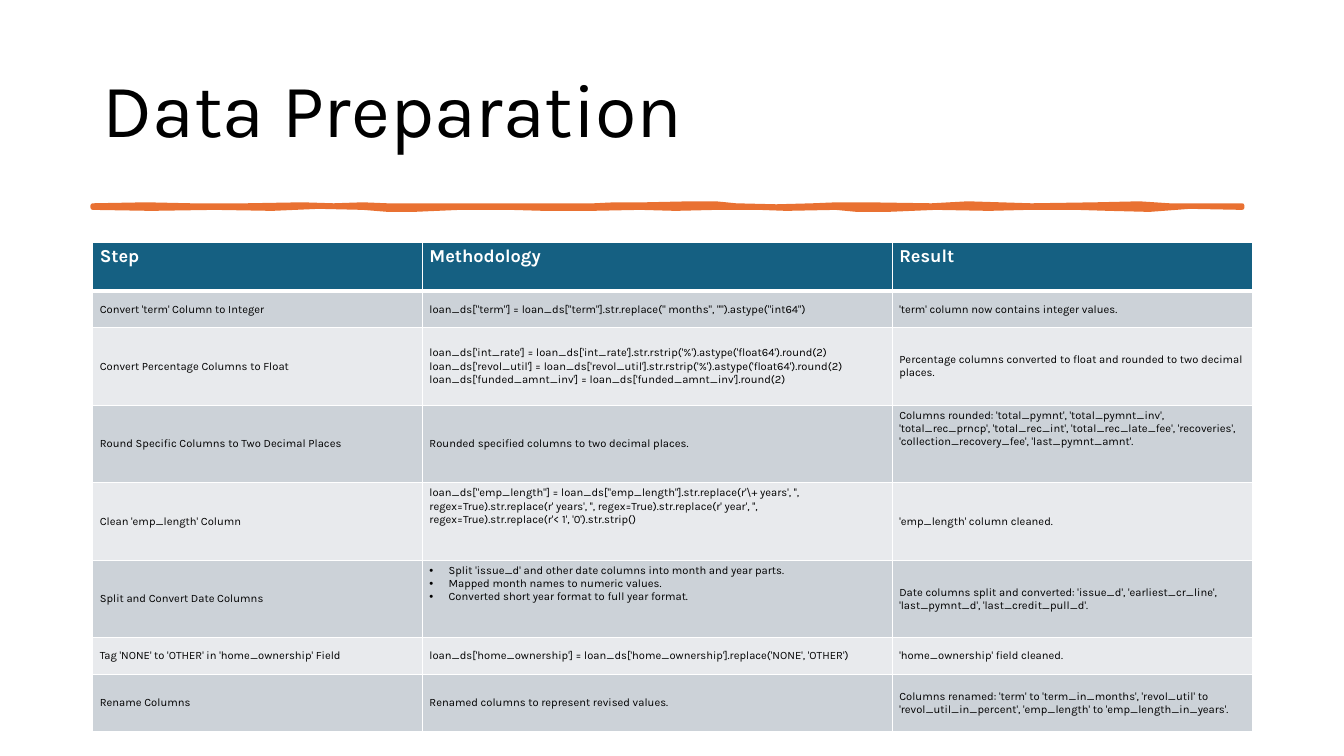
from lxml import etree
from pptx import Presentation
from pptx.dml.color import RGBColor
from pptx.enum.text import MSO_ANCHOR
from pptx.oxml.ns import qn
from pptx.util import Inches, Pt

TOP = MSO_ANCHOR.TOP
MIDDLE = MSO_ANCHOR.MIDDLE
BLACK = RGBColor(0x00, 0x00, 0x00)
WHITE = RGBColor(0xFF, 0xFF, 0xFF)
ORANGE = RGBColor(0xE9, 0x71, 0x32)
HEADER_BLUE = RGBColor(0x15, 0x60, 0x82)
BAND_DARK = RGBColor(0xCC, 0xD2, 0xD8)
BAND_LIGHT = RGBColor(0xE8, 0xEA, 0xED)

COLUMN_WIDTHS = [3.27, 4.66, 3.57]
ROW_HEIGHTS = [0.49, 0.36, 0.77, 0.77, 0.77, 0.77, 0.36, 0.57]
HEADINGS = ["Step", "Methodology", "Result"]
STEPS = [
    ["Convert 'term' Column to Integer",
     'loan_ds["term"] = loan_ds["term"].str.replace(" months", "").astype("int64")',
     "'term' column now contains integer values."],
    ["Convert Percentage Columns to Float",
     "loan_ds['int_rate'] = loan_ds['int_rate'].str.rstrip('%').astype('float64').round(2)\n"
     "loan_ds['revol_util'] = loan_ds['revol_util'].str.rstrip('%').astype('float64').round(2)\n"
     "loan_ds['funded_amnt_inv'] = loan_ds['funded_amnt_inv'].round(2)",
     "Percentage columns converted to float and rounded to two decimal places."],
    ["Round Specific Columns to Two Decimal Places",
     "Rounded specified columns to two decimal places.",
     "Columns rounded: 'total_pymnt', 'total_pymnt_inv', 'total_rec_prncp', 'total_rec_int', "
     "'total_rec_late_fee', 'recoveries', 'collection_recovery_fee', 'last_pymnt_amnt'."],
    ["Clean 'emp_length' Column",
     "loan_ds[\"emp_length\"] = loan_ds[\"emp_length\"].str.replace(r'\\+ years', '', regex=True)"
     ".str.replace(r' years', '', regex=True).str.replace(r' year', '', regex=True)"
     ".str.replace(r'< 1', '0').str.strip()",
     "'emp_length' column cleaned."],
    ["Split and Convert Date Columns",
     "Split 'issue_d' and other date columns into month and year parts.\n"
     "Mapped month names to numeric values.\n"
     "Converted short year format to full year format.",
     "Date columns split and converted: 'issue_d', 'earliest_cr_line', "
     "'last_pymnt_d', 'last_credit_pull_d'."],
    ["Tag 'NONE' to 'OTHER' in 'home_ownership' Field",
     "loan_ds['home_ownership'] = loan_ds['home_ownership'].replace('NONE', 'OTHER')",
     "'home_ownership' field cleaned."],
    ["Rename Columns",
     "Renamed columns to represent revised values.",
     "Columns renamed: 'term' to 'term_in_months', 'revol_util' to 'revol_util_in_percent', "
     "'emp_length' to 'emp_length_in_years'."],
]
TOP_ANCHORED = {(3, 2), (4, 1), (5, 1)}
BULLETED = {(5, 1)}

STROKE_TOP = [
    (0.92, 2.04), (1.45, 2.03), (1.9, 2.04), (2.44, 2.04), (3, 2.03), (3.31, 2.04),
    (3.6, 2.03), (3.84, 2.04), (4.6, 2.04), (5.48, 2.04), (5.89, 2.04), (6.1, 2.03),
    (6.4, 2.03), (6.85, 2.02), (7.1, 2.02), (7.3, 2.04), (7.7, 2.05), (8.06, 2.04),
    (8.3, 2.03), (8.6, 2.03), (9.24, 2.04), (9.6, 2.02), (10.23, 2.04), (10.87, 2.03),
    (11.3, 2.02), (11.6, 2.04), (12.32, 2.04),
]
STROKE_BOTTOM = [
    (12.32, 2.06), (11.8, 2.05), (11.4, 2.08), (11, 2.07), (10.68, 2.06), (10.2, 2.06),
    (9.81, 2.07), (9.28, 2.06), (8.8, 2.08), (8.5, 2.08), (8.29, 2.06), (7.8, 2.07),
    (7.53, 2.06), (7.11, 2.06), (6.7, 2.07), (6.35, 2.06), (5.86, 2.07), (5.4, 2.07),
    (5.06, 2.06), (4.56, 2.06), (4.1, 2.08), (3.85, 2.08), (3.6, 2.06), (3.16, 2.05),
    (2.7, 2.07), (2.13, 2.06), (1.5, 2.07), (0.92, 2.06),
]


class SlideBuilder:
    font_name = "Karla"

    def __init__(self, slide):
        self.slide = slide

    def add_run(self, paragraph, text, size, color, bold=False):
        run = paragraph.add_run()
        run.text = text
        run.font.name = self.font_name
        run.font.size = Pt(size)
        run.font.bold = bold
        run.font.color.rgb = color

    def add_title(self, text, left, top, width, height):
        shape = self.slide.shapes.add_textbox(
            Inches(left), Inches(top), Inches(width), Inches(height))
        frame = shape.text_frame
        frame.word_wrap = True
        frame.vertical_anchor = MIDDLE
        paragraph = frame.paragraphs[0]
        paragraph.line_spacing = 0.9
        self.add_run(paragraph, text, 54, BLACK)

    def add_brush_stroke(self, outline, color):
        points = [(Inches(x), Inches(y)) for x, y in outline]
        builder = self.slide.shapes.build_freeform(*points[0])
        builder.add_line_segments(points[1:], close=True)
        shape = builder.convert_to_shape()
        shape.shadow.inherit = False
        shape.fill.solid()
        shape.fill.fore_color.rgb = color
        shape.line.color.rgb = color
        shape.line.width = Pt(3.25)
        etree.SubElement(shape.line._get_or_add_ln(), qn("a:round"))

    def add_table(self, rows, left, top):
        shape = self.slide.shapes.add_table(
            len(rows), len(COLUMN_WIDTHS), Inches(left), Inches(top),
            Inches(sum(COLUMN_WIDTHS)), Inches(sum(ROW_HEIGHTS)))
        table = shape.table
        table.horz_banding = False
        for column, width in zip(table.columns, COLUMN_WIDTHS):
            column.width = Inches(width)
        for row, height in zip(table.rows, ROW_HEIGHTS):
            row.height = Inches(height)
        for row_index, texts in enumerate(rows):
            for column_index, text in enumerate(texts):
                self.fill_cell(table, row_index, column_index, text)

    def fill_cell(self, table, row_index, column_index, text):
        cell = table.cell(row_index, column_index)
        position = (row_index, column_index)
        is_header = row_index == 0
        cell.margin_left = cell.margin_right = Inches(0.07)
        cell.margin_top = cell.margin_bottom = Inches(0.04)
        cell.vertical_anchor = TOP if is_header or position in TOP_ANCHORED else MIDDLE
        self.add_borders(cell, top=3 if row_index == 1 else 1, bottom=3 if is_header else 1)
        cell.fill.solid()
        band = BAND_DARK if row_index % 2 else BAND_LIGHT
        cell.fill.fore_color.rgb = HEADER_BLUE if is_header else band
        frame = cell.text_frame
        for index, line in enumerate(text.split("\n")):
            paragraph = frame.add_paragraph() if index else frame.paragraphs[0]
            if position in BULLETED:
                self.add_bullet(paragraph)
            self.add_run(paragraph, line, 13 if is_header else 8,
                         WHITE if is_header else BLACK, is_header)

    def add_borders(self, cell, top, bottom):
        properties = cell._tc.get_or_add_tcPr()
        for side, width in (("L", 1), ("R", 1), ("T", top), ("B", bottom)):
            line = etree.SubElement(properties, qn(f"a:ln{side}"), w=str(Pt(width)))
            fill = etree.SubElement(line, qn("a:solidFill"))
            etree.SubElement(fill, qn("a:srgbClr"), val=str(WHITE))

    def add_bullet(self, paragraph):
        properties = paragraph._p.get_or_add_pPr()
        properties.set("marL", str(Inches(0.19)))
        properties.set("indent", str(Inches(-0.19)))
        etree.SubElement(properties, qn("a:buFont"), typeface="Arial")
        etree.SubElement(properties, qn("a:buChar"), char="•")


def main():
    presentation = Presentation()
    presentation.slide_width = Inches(13.33)
    presentation.slide_height = Inches(7.5)
    builder = SlideBuilder(presentation.slides.add_slide(presentation.slide_layouts[6]))
    builder.add_title("Data Preparation", 0.92, 0.4, 11.5, 1.45)
    builder.add_brush_stroke(STROKE_TOP + STROKE_BOTTOM, ORANGE)
    builder.add_table([HEADINGS] + STEPS, 0.92, 2.4)
    presentation.save("out.pptx")


if __name__ == "__main__":
    main()
